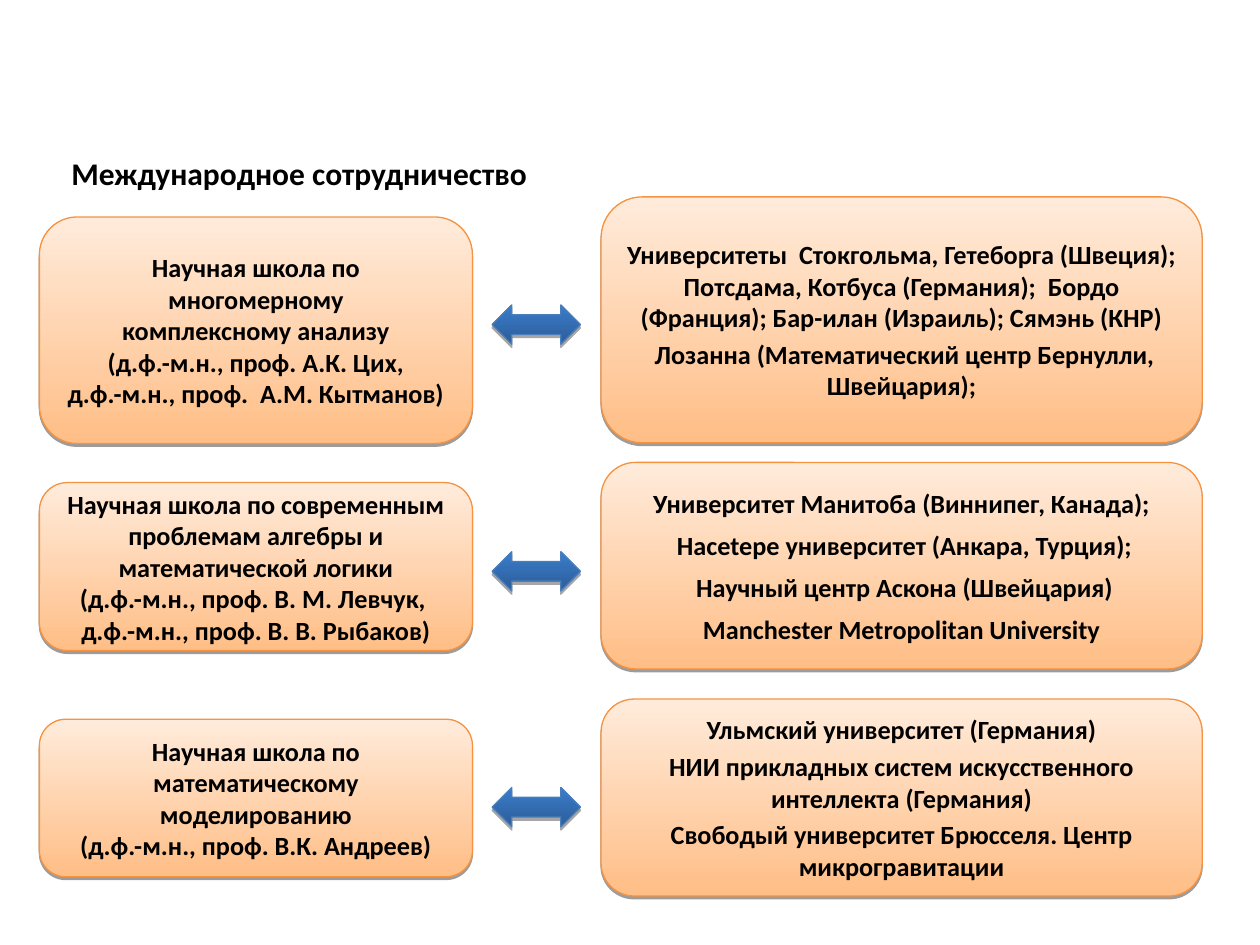
from dataclasses import dataclass

from lxml.etree import SubElement
from pptx import Presentation
from pptx.dml.color import RGBColor
from pptx.enum.shapes import MSO_SHAPE as Shape
from pptx.enum.text import MSO_ANCHOR as Anchor, PP_ALIGN as Align
from pptx.oxml.ns import qn
from pptx.util import Pt


@dataclass(frozen=True)
class Theme:
    font: str = "Calibri"
    title_size: int = 18
    body_size: int = 15
    text: str = "000000"
    card: tuple = ("FFBE86", "FFEBDB")   # bottom, top
    card_line: str = "F69240"
    arrow: tuple = ("2C5D98", "3A7CCB")
    arrow_line: str = "4A7EBB"
    shadow: str = "000000"


THEME = Theme()

# Columns: left edge and width
SCHOOL_X, SCHOOL_W = 22.5, 247.5
ARROW_X, ARROW_W, ARROW_H = 281.25, 50.5, 22.5
PARTNER_X, PARTNER_W = 343.5, 343.5
SCHOOL_DROP = 11.5   # school card starts this far below its partner card

# Rows: top, partner height, school height, arrow drop, partner spacing, texts
ROWS = [
    (112.5, 140.5, 129.5, 61.75, 3,
     ["Научная школа по многомерному",
      "комплексному анализу",
      "(д.ф.-м.н., проф. А.К. Цих,\nд.ф.-м.н., проф.  А.М. Кытманов)"],
     ["Университеты  Стокгольма, Гетеборга (Швеция); Потсдама, Котбуса "
      "(Германия);  Бордо (Франция); Бар-илан (Израиль); Сямэнь (КНР)",
      " Лозанна (Математический центр Бернулли, Швейцария);"]),
    (264.25, 118, 96, 51, 6,
     ["Научная школа по современным проблемам алгебры и математической логики",
      "(д.ф.-м.н., проф. В. М. Левчук, ",
      "д.ф.-м.н., проф. В. В. Рыбаков)"],
     ["Университет Манитоба (Виннипег, Канада);",
      " Hacetepe университет (Анкара, Турция);",
      " Научный центр Аскона (Швейцария)",
      "Manchester Metropolitan University"]),
    (399.5, 112.5, 90, 50.5, 3,
     ["Научная школа по математическому моделированию",
      "(д.ф.-м.н., проф. В.К. Андреев)"],
     ["Ульмский университет (Германия)",
      "НИИ прикладных систем искусственного интеллекта (Германия)",
      "Свободый университет Брюсселя. Центр микрогравитации"]),
]


def write(tf, lines, size, align=Align.LEFT, before=0):
    tf.word_wrap = True
    for i, line in enumerate(lines):
        p = tf.paragraphs[0] if i == 0 else tf.add_paragraph()
        p.text = line
        p.alignment = align
        p.space_before = Pt(before)
        p.font.name = THEME.font
        p.font.size = Pt(size)
        p.font.bold = True
        p.font.color.rgb = RGBColor.from_string(THEME.text)


def add_shadow(sp, distance, opacity):
    sp.shadow.inherit = False
    effects = sp._element.spPr.find(qn("a:effectLst"))
    outer = SubElement(effects, qn("a:outerShdw"), blurRad="0",
                       dist=str(Pt(distance)), dir="5400000", rotWithShape="0")
    color = SubElement(outer, qn("a:srgbClr"), val=THEME.shadow)
    SubElement(color, qn("a:alpha"), val=str(opacity * 1000))


def add_gradient_shape(s, kind, box, colors, line):
    sp = s.shapes.add_shape(kind, *map(Pt, box))
    sp.fill.gradient()
    sp.fill.gradient_angle = 90
    for stop, color in zip(sp.fill.gradient_stops, colors):
        stop.color.rgb = RGBColor.from_string(color)
    sp.line.color.rgb = RGBColor.from_string(line)
    sp.line.width = Pt(0.75)
    return sp


def add_card(s, box, lines, before=0):
    sp = add_gradient_shape(s, Shape.ROUNDED_RECTANGLE, box,
                            THEME.card, THEME.card_line)
    add_shadow(sp, 1.6, 38)
    sp.text_frame.vertical_anchor = Anchor.MIDDLE
    write(sp.text_frame, lines, THEME.body_size, Align.CENTER, before)


def add_arrow(s, box):
    sp = add_gradient_shape(s, Shape.LEFT_RIGHT_ARROW, box,
                            THEME.arrow, THEME.arrow_line)
    add_shadow(sp, 1.8, 35)


def add_title(s, box, text):
    tf = s.shapes.add_textbox(*map(Pt, box)).text_frame
    write(tf, [text], THEME.title_size)


def add_row(s, top, partner_h, school_h, arrow_drop, before, school, partners):
    add_card(s, (SCHOOL_X, top + SCHOOL_DROP, SCHOOL_W, school_h), school)
    add_arrow(s, (ARROW_X, top + arrow_drop, ARROW_W, ARROW_H))
    add_card(s, (PARTNER_X, top, PARTNER_W, partner_h), partners, before)


def main():
    prs = Presentation()
    prs.slide_width, prs.slide_height = Pt(720), Pt(540)
    s = prs.slides.add_slide(prs.slide_layouts[6])

    # Heading
    add_title(s, (33.75, 84.5, 562.5, 29), "Международное сотрудничество")

    # Schools and their partners
    for row in ROWS:
        add_row(s, *row)

    prs.save("out.pptx")


if __name__ == "__main__":
    main()
